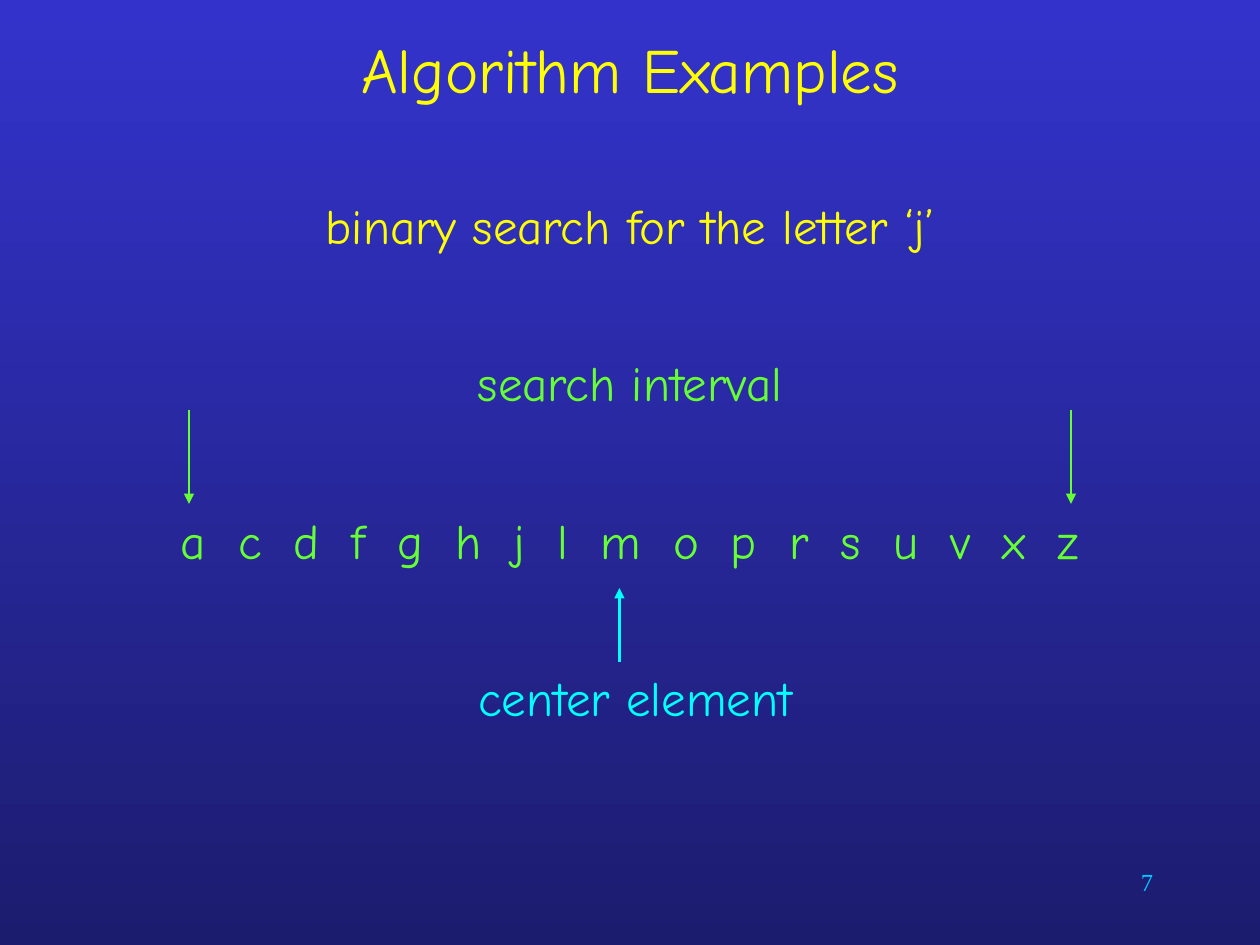
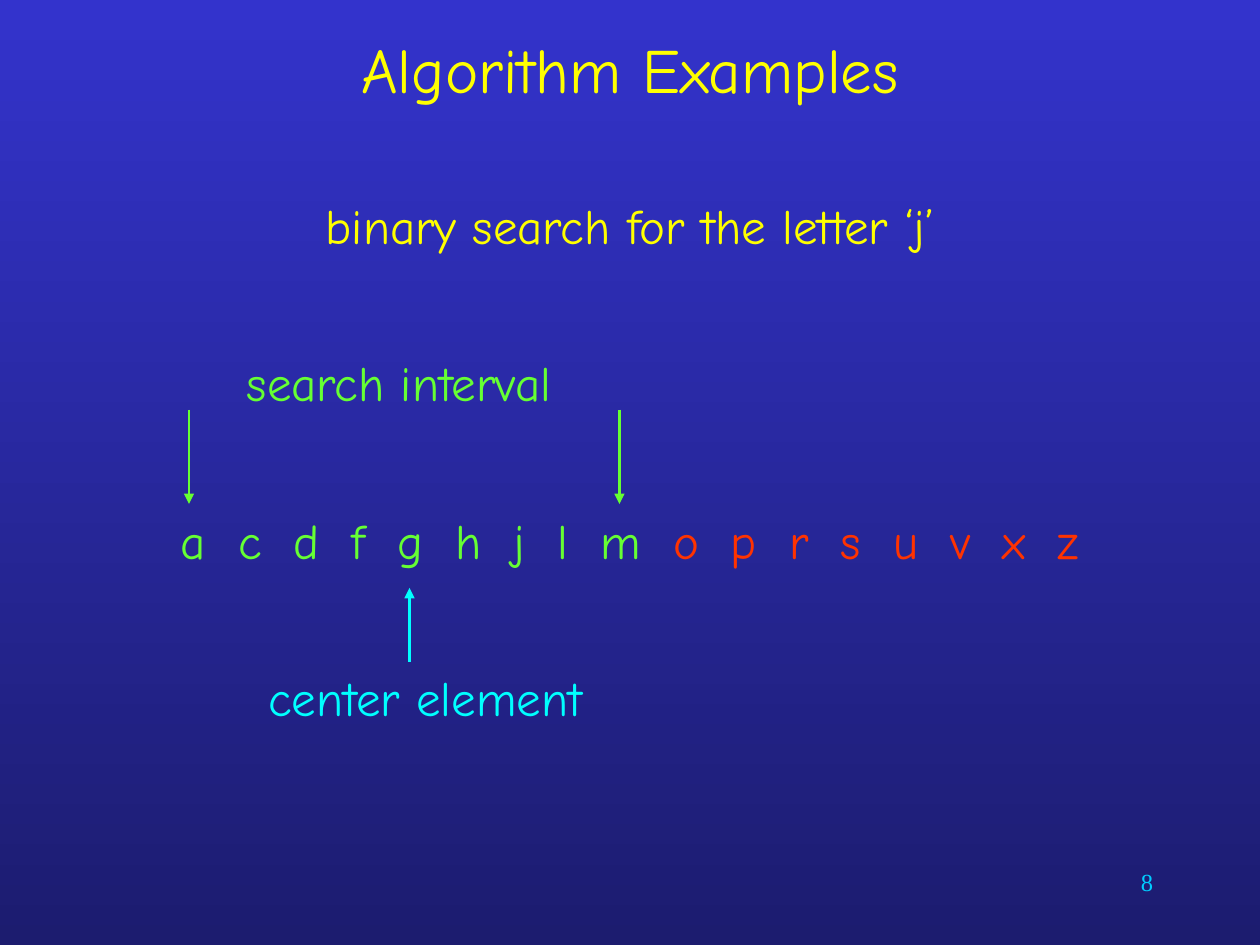
from lxml import etree
from pptx import Presentation
from pptx import util as u
from pptx.dml.color import RGBColor
from pptx.enum import shapes, text
from pptx.oxml.ns import qn

PX = 9525  # EMU per px, 96 px to the inch
HAND, SERIF = "Comic Neue", "Times New Roman"
YELLOW, GREEN, CYAN, RED = "FFFF00", "66FF33", "00FFFF", "FF3300"
NUMBER_BLUE, BG_TOP, BG_BOTTOM = "00CCFF", "3333CC", "1C1C6F"
CENTER, RIGHT = text.PP_ALIGN.CENTER, text.PP_ALIGN.RIGHT

LETTERS = "acdfghjlmoprsuvxz"
LETTER_GAP = 900  # extra width after each space, in 1/100 pt
LABEL_H = 55
ROW_BOX = (88, 384, 784, LABEL_H)
TASK_BOX = (88, 144, 784, LABEL_H)
NUMBER_BOX = (688, 656, 200, 48)


def color(value):
    return RGBColor.from_string(value)


def px(*lengths):
    return [u.Emu(n * PX) for n in lengths]


def add_run(p, words, size=28, font=HAND, fill=YELLOW):
    r = p.add_run()
    r.text = words
    r.font.size, r.font.name = u.Pt(size), font
    r.font.color.rgb = color(fill)
    return r


def write(tf, words, align=CENTER, **fmt):
    p = tf.paragraphs[0]
    p.alignment = align
    add_run(p, words, **fmt)


def add_box(parent, box):
    tf = parent.add_textbox(*px(*box)).text_frame
    tf.word_wrap = True
    return tf


def add_label(parent, box, words, **fmt):
    write(add_box(parent, box), words, **fmt)


def add_arrow(parent, x, y1, y2, fill):
    line = parent.add_connector(shapes.MSO_CONNECTOR.STRAIGHT, *px(x, y1, x, y2))
    line.line.color.rgb = color(fill)
    line.line.width = u.Pt(1.5)
    etree.SubElement(line.line._get_or_add_ln(), qn("a:tailEnd"), type="triangle")
    etree.SubElement(line._element.spPr, qn("a:effectLst"))


def set_background(master):
    fill = master.background.fill
    fill.gradient()
    fill.gradient_angle = 270
    for stop, value in zip(fill.gradient_stops, (BG_TOP, BG_BOTTOM)):
        stop.color.rgb = color(value)


def add_frame(slide, number):
    """Title, task and slide number."""
    title = slide.shapes.title
    title.left, title.top, title.width, title.height = px(72, 16, 816, 72)
    title.text_frame.vertical_anchor = text.MSO_ANCHOR.MIDDLE
    write(title.text_frame, "Algorithm Examples", size=36)
    add_label(slide.shapes, TASK_BOX, "binary search for the letter ‘j’")
    add_label(slide.shapes, NUMBER_BOX, str(number), align=RIGHT,
              size=14, font=SERIF, fill=NUMBER_BLUE)


def add_letters(slide, box, active):
    """Letter row; the first `active` letters are still searched."""
    p = add_box(slide.shapes, box).paragraphs[0]
    p.alignment = CENTER
    for i, letter in enumerate(LETTERS):
        fill = GREEN if i < active else RED
        if i:
            gap = add_run(p, " ", fill=fill)
            gap._r.get_or_add_rPr().set("spc", str(LETTER_GAP))
        add_run(p, letter, fill=fill)


def add_interval(slide, label_x, ends, row_top):
    """Label and the two arrows down to the row of letters."""
    for x in ends:
        add_arrow(slide.shapes, x, row_top - 72, row_top, GREEN)
    add_label(slide.shapes, (label_x, row_top - 120, 288, LABEL_H),
              "search interval", fill=GREEN)


def add_center(slide, x, row_top):
    """Label and the arrow up to the center letter."""
    group = slide.shapes.add_group_shape().shapes
    top = row_top + 120
    add_label(group, (x - 136, top, 296, LABEL_H), "center element", fill=CYAN)
    add_arrow(group, x, top, top - 56, CYAN)


def add_search_slide(prs, number, active, label_x, ends, center):
    slide = prs.slides.add_slide(prs.slide_layouts[5])
    add_frame(slide, number)
    add_letters(slide, ROW_BOX, active)
    add_interval(slide, label_x, ends, ROW_BOX[1])
    add_center(slide, center, ROW_BOX[1])


def main():
    prs = Presentation()
    prs.slide_width, prs.slide_height = px(960, 720)
    set_background(prs.slide_master)
    add_search_slide(prs, 7, active=17, label_x=336, ends=(144, 816), center=472)
    add_search_slide(prs, 8, active=9, label_x=160, ends=(144, 472), center=312)
    prs.save("out.pptx")


if __name__ == "__main__":
    main()
